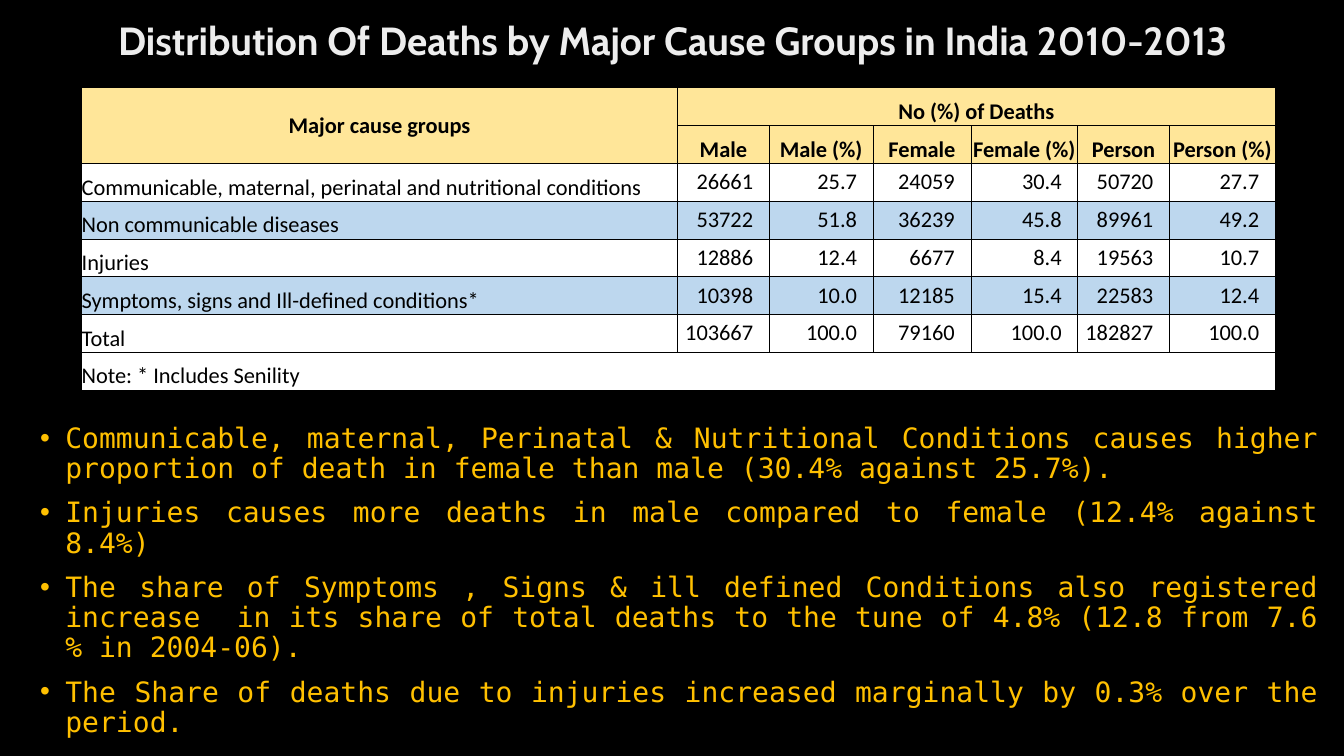
from lxml import etree
from pptx import Presentation
from pptx import util as u
from pptx.dml import color
from pptx.enum import text
from pptx.oxml import ns

TITLE = "Distribution Of Deaths by Major Cause Groups in India 2010-2013"
COLUMN_WIDTHS = [5.91, 0.91, 1.03, 0.97, 1.06, 0.91, 1.05]
ROW_HEIGHT = 3 / 8
HEADINGS = ["Male", "Male (%)", "Female", "Female (%)", "Person", "Person (%)"]
CAUSES = [
    ["Communicable, maternal, perinatal and nutritional conditions",
     "26661", "25.7", "24059", "30.4", "50720", "27.7"],
    ["Non communicable diseases", "53722", "51.8", "36239", "45.8", "89961", "49.2"],
    ["Injuries", "12886", "12.4", "6677", "8.4", "19563", "10.7"],
    ["Symptoms, signs and Ill-defined conditions*",
     "10398", "10.0", "12185", "15.4", "22583", "12.4"],
    ["Total", "103667", "100.0", "79160", "100.0", "182827", "100.0"],
]
FINDINGS = [
    "Communicable, maternal, Perinatal & Nutritional Conditions causes higher "
    "proportion of death in female than male (30.4% against 25.7%).",
    "Injuries causes more deaths in male compared to female (12.4% against 8.4%)",
    "The share of Symptoms , Signs & ill defined Conditions also registered "
    "increase  in its share of total deaths to the tune of 4.8% "
    "(12.8 from 7.6 % in 2004-06).",
    "The Share of deaths due to injuries increased marginally by 0.3% over the period.",
]


def rgb(value):
    return color.RGBColor.from_string(value)


class Deck:
    black, white, pale = "000000", "FFFFFF", "EDEDED"
    gold, header, band = "FFC000", "FFE699", "BDD7EE"
    title_font, table_font, body_font = "Cabin", "Calibri", "DejaVu Sans Mono"

    def __init__(self, prs):
        self.s = prs.slides.add_slide(prs.slide_layouts[6])
        fill = self.s.background.fill
        fill.solid()
        fill.fore_color.rgb = rgb(self.black)

    def run(self, p, words, font, size, hue, bold=False):
        r = p.add_run()
        r.text = words
        r.font.name = font
        r.font.size = u.Pt(size)
        r.font.bold = bold
        r.font.color.rgb = rgb(hue)

    def box(self, x, y, w, h, anchor):
        sp = self.s.shapes.add_textbox(*map(u.Inches, (x, y, w, h)))
        tf = sp.text_frame
        tf.word_wrap = True
        tf.vertical_anchor = anchor
        return tf

    def title(self, words, *place):
        p = self.box(*place, text.MSO_ANCHOR.MIDDLE).paragraphs[0]
        p.alignment = text.PP_ALIGN.CENTER
        p.line_spacing = 0.9
        self.run(p, words, self.title_font, 28, self.pale, True)

    def bullets(self, items, *place):
        tf = self.box(*place, text.MSO_ANCHOR.TOP)
        for i, words in enumerate(items):
            p = tf.add_paragraph() if i else tf.paragraphs[0]
            p.alignment = text.PP_ALIGN.JUSTIFY
            p.line_spacing = 0.9
            p.space_before = u.Pt(10 if i else 0)
            pPr = p._p.get_or_add_pPr()
            pPr.set("marL", str(u.Inches(0.25)))
            pPr.set("indent", str(-u.Inches(0.25)))
            etree.SubElement(pPr, ns.qn("a:buFont")).set("typeface", "Arial")
            etree.SubElement(pPr, ns.qn("a:buChar")).set("char", "•")
            self.run(p, words, self.body_font, 20, self.gold)

    def table(self, x, y, widths, rows):
        size = map(u.Inches, (x, y, sum(widths), rows * ROW_HEIGHT))
        table = self.s.shapes.add_table(rows, len(widths), *size).table
        table.first_row = table.horz_banding = False
        for column, width in zip(table.columns, widths):
            column.width = u.Inches(width)
        for row in table.rows:
            row.height = u.Inches(ROW_HEIGHT)
        return table

    def cell(self, cell, words, fill, align, anchor, bold=False, right=0, ruled="LRTB"):
        tcPr = cell._tc.get_or_add_tcPr()
        for side in "LRTB":
            ln = etree.SubElement(tcPr, ns.qn("a:ln" + side), w=str(u.Pt(0.5)))
            if side in ruled:
                solid = etree.SubElement(ln, ns.qn("a:solidFill"))
                etree.SubElement(solid, ns.qn("a:srgbClr"), val=self.black)
            else:
                etree.SubElement(ln, ns.qn("a:noFill"))
        cell.fill.solid()
        cell.fill.fore_color.rgb = rgb(fill)
        cell.margin_left = cell.margin_top = cell.margin_bottom = 0
        cell.margin_right = u.Inches(right)
        cell.vertical_anchor = anchor
        p = cell.text_frame.paragraphs[0]
        p.alignment = align
        if words:
            self.run(p, words, self.table_font, 16, self.black, bold)


def main():
    prs = Presentation()
    prs.slide_width, prs.slide_height = u.Inches(13.33), u.Inches(7.5)
    deck = Deck(prs)
    align, anchor = text.PP_ALIGN, text.MSO_ANCHOR
    deck.title(TITLE, 0.92, 0.14, 11.5, 0.57)
    deck.bullets(FINDINGS, 0.3, 4.16, 12.87, 3.34)

    table = deck.table(0.81, 0.87, COLUMN_WIDTHS, len(CAUSES) + 3)
    table.cell(0, 0).merge(table.cell(1, 0))
    table.cell(0, 1).merge(table.cell(0, 6))
    headers = [["Major cause groups", "No (%) of Deaths"] + [""] * 5, [""] + HEADINGS]
    for i, row in enumerate(headers):
        for j, words in enumerate(row):
            deck.cell(table.cell(i, j), words, deck.header, align.CENTER,
                      anchor.BOTTOM if j else anchor.MIDDLE, bold=True)
    for i, (cause, *values) in enumerate(CAUSES):
        fill = deck.band if i % 2 else deck.white
        deck.cell(table.cell(i + 2, 0), cause, fill, align.LEFT, anchor.BOTTOM)
        for j, value in enumerate(values, 1):
            deck.cell(table.cell(i + 2, j), value, fill, align.RIGHT,
                      anchor.MIDDLE, right=0.16)
    note = ["Note: * Includes Senility"] + [""] * 6
    for j, words in enumerate(note):
        deck.cell(table.cell(len(CAUSES) + 2, j), words, deck.white, align.LEFT,
                  anchor.BOTTOM, ruled="T")
    prs.save("out.pptx")


if __name__ == "__main__":
    main()
